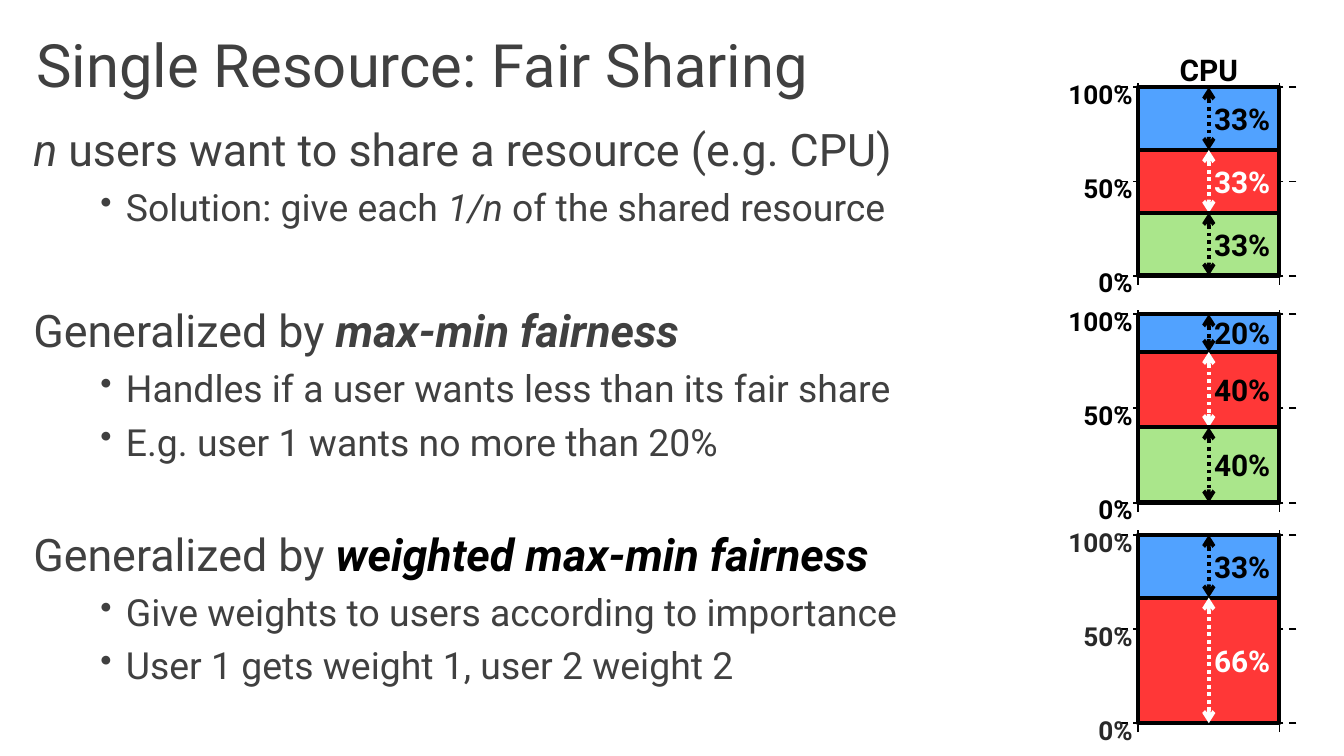
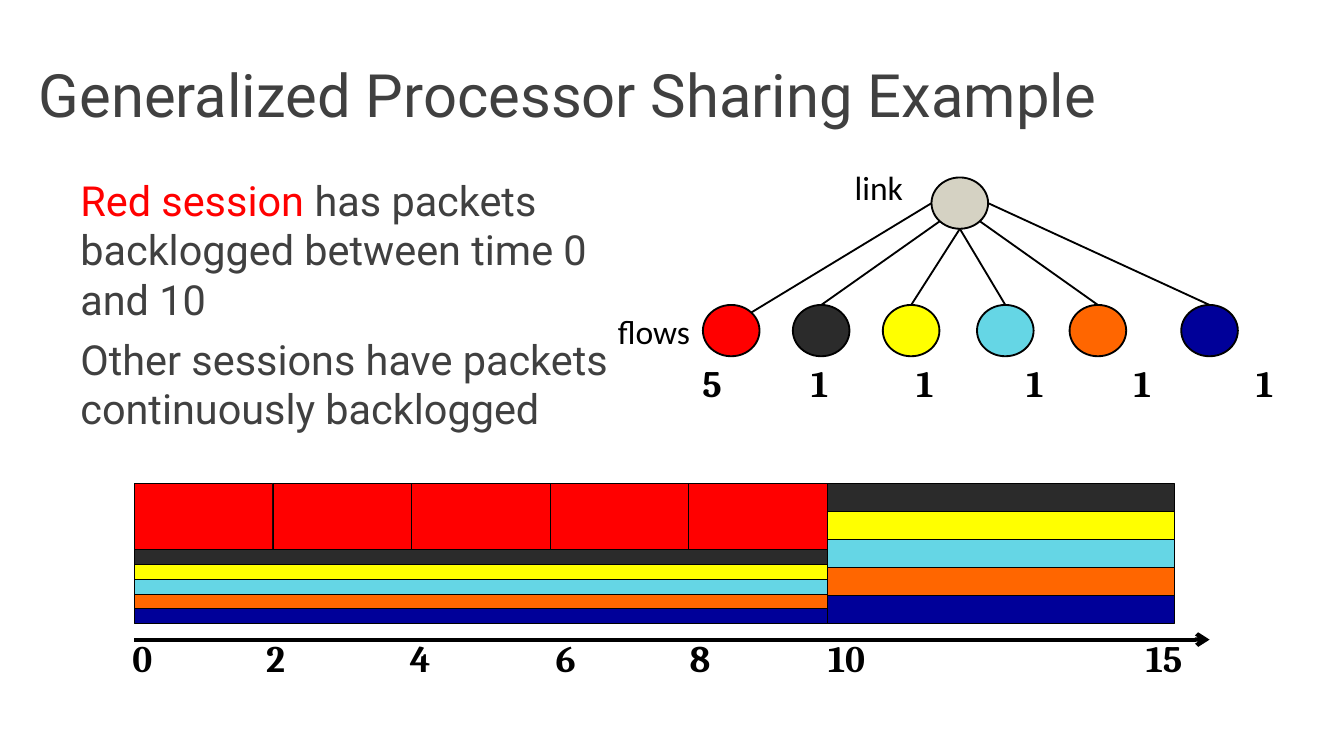
from dataclasses import dataclass, replace
from math import cos, radians, sin

from lxml.etree import SubElement
from pptx import Presentation
from pptx.dml.color import RGBColor
from pptx.enum.dml import MSO_LINE
from pptx.enum.shapes import MSO_CONNECTOR, MSO_SHAPE
from pptx.enum.text import MSO_ANCHOR, PP_ALIGN
from pptx.oxml.ns import qn
from pptx.util import Cm, Pt


@dataclass(frozen=True)
class TextStyle:
    size: float
    color: str = "000000"
    font: str = "Roboto"
    bold: bool = False
    italic: bool = False
    spacing: float = 1.0


@dataclass(frozen=True)
class Theme:
    black: str = "000000"
    white: str = "FFFFFF"
    axis_grey: str = "292929"
    # Users sharing the CPU
    user_blue: str = "51A2FF"
    user_red: str = "FF3737"
    user_green: str = "AAE68B"
    # Flows sharing the link
    red: str = "FF0000"
    others: tuple = ("2B2B2B", "FFFF00", "65D6E5", "FF6600", "000099")
    link: str = "D5D2C3"
    # Type
    title: TextStyle = TextStyle(32, "404040")
    body: TextStyle = TextStyle(24, "404040")
    bullet: TextStyle = TextStyle(20, "404040")
    session: TextStyle = TextStyle(22.2, "404040")
    share: TextStyle = TextStyle(16, bold=True)
    tick: TextStyle = TextStyle(14, bold=True)
    number: TextStyle = TextStyle(20, font="Cambria", bold=True, spacing=0.9)
    caption: TextStyle = TextStyle(18, font="Calibri")


THEME = Theme()


# --- Text ---

def format_run(r, style):
    r.font.name = style.font
    r.font.size = Pt(style.size)
    r.font.bold = style.bold
    r.font.italic = style.italic
    r.font.color.rgb = RGBColor.from_string(style.color)


def add_title(slide, text, left, top, width):
    sp = slide.shapes.title
    sp.left, sp.top, sp.width, sp.height = Cm(left), Cm(top), Cm(width), Cm(2.39)
    tf = sp.text_frame
    tf.text = text
    tf.vertical_anchor = MSO_ANCHOR.MIDDLE
    tf.paragraphs[0].alignment = PP_ALIGN.LEFT
    format_run(tf.paragraphs[0].runs[0], THEME.title)


def add_label(shapes, text, left, middle, width, style, align=PP_ALIGN.CENTER):
    """One line of text, centred vertically on middle."""
    height = 0.8
    sp = shapes.add_textbox(Cm(left), Cm(middle - height / 2), Cm(width), Cm(height))
    tf = sp.text_frame
    tf.word_wrap = True
    tf.vertical_anchor = MSO_ANCHOR.MIDDLE
    tf.margin_left = tf.margin_right = tf.margin_top = tf.margin_bottom = 0
    tf.text = text
    p = tf.paragraphs[0]
    p.alignment = align
    p.line_spacing = style.spacing
    format_run(p.runs[0], style)


def add_bullet(p):
    p.level = 1
    pPr = p._p.get_or_add_pPr()
    pPr.set("marL", str(Cm(1.75)))
    pPr.set("indent", str(Cm(-0.48)))
    SubElement(pPr, qn("a:buSzPct")).set("val", "90000")
    SubElement(pPr, qn("a:buChar")).set("char", "•")


def add_body(slide, left, top, width, height, paragraphs):
    """Each paragraph is (space before, bulleted, [(text, style), ...])."""
    sp = slide.shapes.add_textbox(Cm(left), Cm(top), Cm(width), Cm(height))
    tf = sp.text_frame
    tf.word_wrap = True
    for i, (space, bulleted, runs) in enumerate(paragraphs):
        p = tf.add_paragraph() if i else tf.paragraphs[0]
        p.space_before = Pt(space)
        if bulleted:
            add_bullet(p)
        for text, style in runs:
            r = p.add_run()
            r.text = text
            format_run(r, style)


# --- Shapes and lines ---

def add_filled(shapes, kind, left, top, width, height, fill, line_width):
    sp = shapes.add_shape(kind, Cm(left), Cm(top), Cm(width), Cm(height))
    sp.shadow.inherit = False
    sp.fill.solid()
    sp.fill.fore_color.rgb = RGBColor.from_string(fill)
    sp.line.color.rgb = RGBColor.from_string(THEME.black)
    sp.line.width = Pt(line_width)


def add_line(shapes, start, end, width=1, color=THEME.black, dash=None, arrows=()):
    """arrows names the arrowed ends: headEnd at start, tailEnd at end."""
    cx = shapes.add_connector(MSO_CONNECTOR.STRAIGHT, *map(Cm, start + end))
    cx.line.color.rgb = RGBColor.from_string(color)
    cx.line.width = Pt(width)
    if dash:
        cx.line.dash_style = dash
    ln = cx.line._get_or_add_ln()
    for tag in arrows:
        SubElement(ln, qn("a:" + tag)).set("type", "arrow")
    SubElement(cx._element.spPr, qn("a:effectLst"))


# --- Slide 1: stacked CPU shares ---

STACK_LEFT, STACK_WIDTH, STACK_HEIGHT = 21.51, 2.67, 3.56


def add_cpu_stack(slide, top, shares, tick_color=THEME.black):
    """Shares are (percent, fill, arrow colour, label colour) from the top down."""
    shapes = slide.shapes.add_group_shape().shapes
    right, bottom = STACK_LEFT + STACK_WIDTH, top + STACK_HEIGHT

    # Axis ticks
    for percent in (100, 50, 0):
        y = bottom - STACK_HEIGHT * percent / 100
        add_line(shapes, (right + 0.32, y), (STACK_LEFT - 0.4, y), dash=MSO_LINE.DASH)
        add_label(shapes, f"{percent}%", STACK_LEFT - 1.7, y + 0.13, 1.6,
                  replace(THEME.tick, color=tick_color), PP_ALIGN.RIGHT)
    for x in (STACK_LEFT, right):
        add_line(shapes, (x, bottom + 0.17), (x, top - 0.15), dash=MSO_LINE.DASH)

    # Shares with their extent arrows
    total = sum(share[0] for share in shares)
    middle = STACK_LEFT + STACK_WIDTH / 2
    y = top
    for percent, fill, arrow_color, label_color in shares:
        height = STACK_HEIGHT * percent / total
        add_filled(shapes, MSO_SHAPE.RECTANGLE, STACK_LEFT, y, STACK_WIDTH, height, fill, 2.25)
        add_line(shapes, (middle, y), (middle, y + height), 2, arrow_color,
                 MSO_LINE.ROUND_DOT, ("headEnd", "tailEnd"))
        add_label(shapes, f"{percent}%", middle + 0.1, y + height / 2, 1.5,
                  replace(THEME.share, color=label_color), PP_ALIGN.LEFT)
        y += height


def fair_sharing_slide(prs):
    slide = prs.slides.add_slide(prs.slide_layouts[5])
    add_title(slide, "Single Resource: Fair Sharing", 0.43, 0, 24.13)

    body, bullet = THEME.body, THEME.bullet
    strong = replace(body, bold=True, italic=True)
    add_body(slide, 0.38, 2.18, 20.14, 11.79, [
        (5.6, False, [("n ", replace(body, italic=True)),
                      ("users want to share a resource (e.g. CPU)", body)]),
        (4.7, True, [("Solution: give each ", bullet),
                     ("1/n ", replace(bullet, italic=True)),
                     ("of the shared resource", bullet)]),
        (39.3, False, [("Generalized by ", body), ("max-min fairness", strong)]),
        (4.7, True, [("Handles if a user wants less than its fair share", bullet)]),
        (4.7, True, [("E.g. user 1 wants no more than 20%", bullet)]),
        (33.7, False, [("Generalized by ", body),
                       ("weighted max-min fairness", replace(strong, color=THEME.black))]),
        (4.7, True, [("Give weights to users according to importance", bullet)]),
        (4.7, True, [("User 1 gets weight 1, user 2 weight 2", bullet)]),
    ])

    black, white = THEME.black, THEME.white
    blue, red, green = THEME.user_blue, THEME.user_red, THEME.user_green
    add_label(slide.shapes, "CPU", STACK_LEFT, 1.31, STACK_WIDTH, THEME.share)
    add_cpu_stack(slide, 1.65, [(33, blue, black, black), (33, red, white, white),
                                (33, green, black, black)])
    add_cpu_stack(slide, 5.94, [(20, blue, black, black), (40, red, white, black),
                                (40, green, black, black)])
    add_cpu_stack(slide, 10.11, [(33, blue, black, black), (66, red, white, white)],
                  THEME.axis_grey)


# --- Slide 2: link tree and schedule ---

NODE_WIDTH, NODE_HEIGHT = 1.07, 0.97


def add_node(shapes, center, fill):
    x, y = center
    add_filled(shapes, MSO_SHAPE.OVAL, x - NODE_WIDTH / 2, y - NODE_HEIGHT / 2,
               NODE_WIDTH, NODE_HEIGHT, fill, 1)


def node_edge(center, degrees):
    """Point on a node's outline, clockwise from its right end."""
    angle = radians(degrees)
    return (center[0] + NODE_WIDTH / 2 * cos(angle),
            center[1] + NODE_HEIGHT / 2 * sin(angle))


def add_link_tree(slide):
    shapes = slide.shapes.add_group_shape().shapes
    link = (18.14, 3.84)
    # Flow centre, weight, weight centre, line angles at the flow and at the link
    flows = [(13.82, 5, 13.46, -45, 180), (15.52, 1, 15.49, -90, 135),
             (17.22, 1, 17.48, -90, 90), (19, 1, 19.56, -90, 90),
             (20.75, 1, 21.59, -90, 45), (22.86, 1, 23.9, -90, 0)]
    add_node(shapes, link, THEME.link)
    for (x, weight, weight_x, flow_angle, link_angle), color in zip(
            flows, (THEME.red,) + THEME.others):
        flow = (x, 6.25)
        add_node(shapes, flow, color)
        add_line(shapes, node_edge(flow, flow_angle), node_edge(link, link_angle))
        add_label(shapes, str(weight), weight_x - 0.75, 7.28, 1.5, THEME.number)
    add_label(shapes, "flows", 11.36, 6.26, 2, THEME.caption)
    add_label(shapes, "link", 15.61, 3.53, 2, THEME.caption)


def add_schedule(slide):
    shapes = slide.shapes
    left, top, per_second = 2.54, 9.14, 1.31
    red_height, thin, thick = 1.25, 0.28, 0.53
    switch, end = 10 * per_second, 15 * per_second

    # Red packets, two time units each
    for i in range(5):
        add_filled(shapes, MSO_SHAPE.RECTANGLE, left + 2 * i * per_second, top,
                   2 * per_second, red_height, THEME.red, 0.5)
    # Other flows, before and after the red session ends
    for i, color in enumerate(THEME.others):
        add_filled(shapes, MSO_SHAPE.RECTANGLE, left, top + red_height + i * thin,
                   switch, thin, color, 0.5)
        add_filled(shapes, MSO_SHAPE.RECTANGLE, left + switch, top + i * thick,
                   end - switch, thick, color, 0.5)

    # Time axis
    add_line(shapes, (left, 12.09), (22.86, 12.09), 2.25, arrows=("tailEnd",))
    for time, x in ((0, 2.69), (2, 5.21), (4, 7.94), (6, 10.69), (8, 13.23),
                    (10, 16), (15, 22)):
        add_label(shapes, str(time), x - 0.75, 12.48, 1.5, THEME.number)


def processor_sharing_slide(prs):
    slide = prs.slides.add_slide(prs.slide_layouts[5])
    add_title(slide, "Generalized Processor Sharing Example", 0.48, 0.58, 24.59)
    session = THEME.session
    add_body(slide, 1.27, 3.18, 10.6, 5.87, [
        (5.2, False, [("Red session ", replace(session, color=THEME.red)),
                      ("has packets backlogged between time 0 and 10", session)]),
        (5.2, False, [("Other sessions have packets continuously backlogged", session)]),
    ])
    add_schedule(slide)
    add_link_tree(slide)


def main():
    prs = Presentation()
    prs.slide_width, prs.slide_height = Cm(25.4), Cm(14.29)
    fair_sharing_slide(prs)
    processor_sharing_slide(prs)
    prs.save("out.pptx")


if __name__ == "__main__":
    main()
